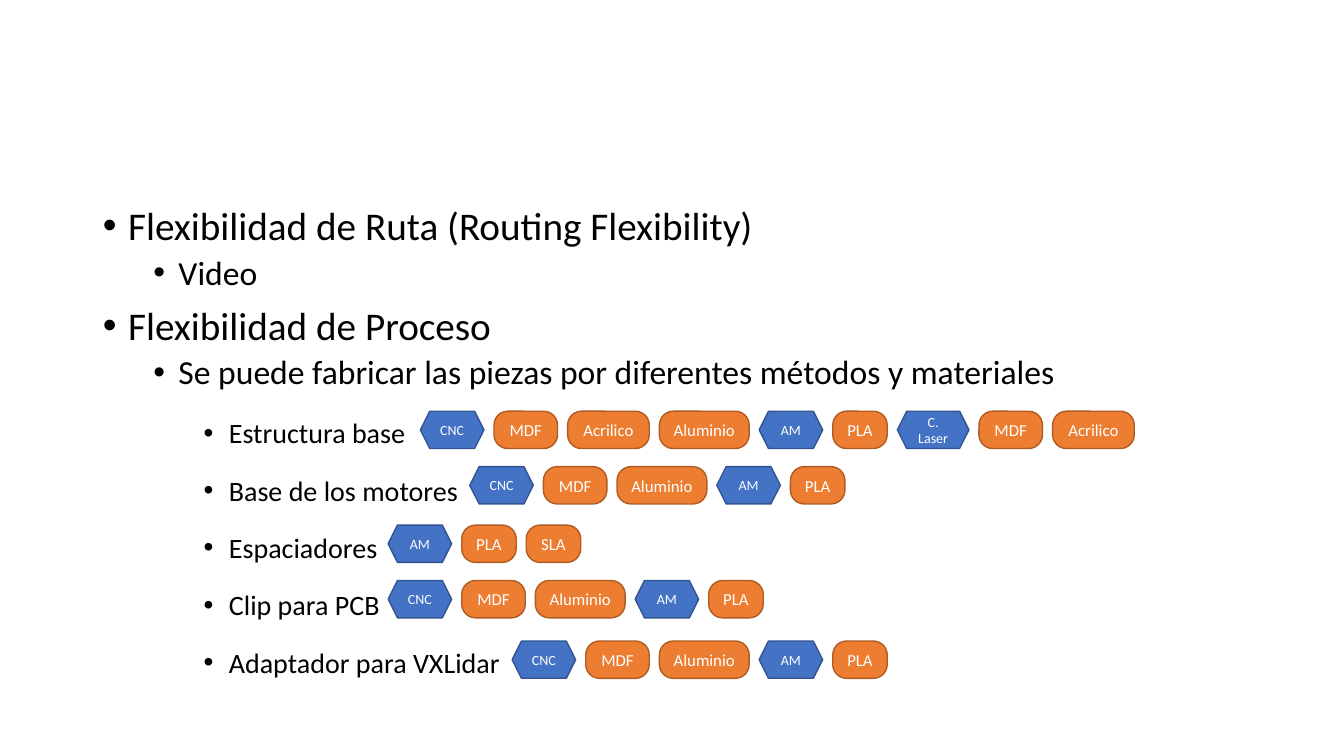
from dataclasses import dataclass

from lxml import etree
from pptx import Presentation
from pptx.dml.color import RGBColor
from pptx.enum.shapes import MSO_SHAPE
from pptx.enum.text import MSO_ANCHOR, MSO_AUTO_SIZE, PP_ALIGN
from pptx.oxml.ns import qn
from pptx.slide import Slide
from pptx.util import Inches, Pt

HEXAGON = MSO_SHAPE.HEXAGON
ROUNDED = MSO_SHAPE.ROUNDED_RECTANGLE
TOP = MSO_ANCHOR.TOP
MIDDLE = MSO_ANCHOR.MIDDLE
NO_FIT = MSO_AUTO_SIZE.NONE
LEFT = PP_ALIGN.LEFT
CENTER = PP_ALIGN.CENTER


@dataclass(frozen=True)
class Theme:
    font: str = "Calibri"
    text: str = "000000"
    label: str = "FFFFFF"
    method_fill: str = "4472C4"
    method_line: str = "325491"
    material_fill: str = "ED7D31"
    material_line: str = "AF5C24"
    method_size: int = 10
    material_size: int = 12
    bullet_sizes: tuple[int, ...] = (28, 24, 20)
    line_spacings: tuple[float, ...] = (0.9, 0.9, 1.5)
    spaces_before: tuple[int, ...] = (10, 5, 5)


@dataclass(frozen=True)
class Bullet:
    text: str
    level: int


@dataclass(frozen=True)
class Part:
    name: str
    left: float
    top: float
    options: tuple[str, ...]


THEME = Theme()
TAG_HEIGHT = 0.37
TAG_GAP = 0.1
METHOD_WIDTHS = {"CNC": 0.63, "AM": 0.63, "C. Laser": 0.71}
MATERIAL_WIDTHS = {"MDF": 0.63, "Acrilico": 0.81, "Aluminio": 0.89, "PLA": 0.54, "SLA": 0.54}
COMMON_OPTIONS = ("CNC", "MDF", "Aluminio", "AM", "PLA")
PARTS = (
    Part("Estructura base", 4.17, 4.08,
         ("CNC", "MDF", "Acrilico", "Aluminio", "AM", "PLA", "C. Laser", "MDF", "Acrilico")),
    Part("Base de los motores", 4.66, 4.63, COMMON_OPTIONS),
    Part("Espaciadores", 3.85, 5.21, ("AM", "PLA", "SLA")),
    Part("Clip para PCB", 3.85, 5.76, COMMON_OPTIONS),
    Part("Adaptador para VXLidar", 5.08, 6.36, COMMON_OPTIONS),
)
BULLETS = (
    Bullet("Flexibilidad de Ruta (Routing Flexibility)", 0),
    Bullet("Video", 1),
    Bullet("Flexibilidad de Proceso", 0),
    Bullet("Se puede fabricar las piezas por diferentes métodos y materiales", 1),
    *(Bullet(part.name, 2) for part in PARTS),
)


def add_run(paragraph, text: str, size: int, color: str) -> None:
    run = paragraph.add_run()
    run.text = text
    run.font.name = THEME.font
    run.font.size = Pt(size)
    run.font.color.rgb = RGBColor.from_string(color)


def fill_body(slide: Slide) -> None:
    body = slide.placeholders[1]
    body.left, body.top = Inches(0.92), Inches(2)
    body.width, body.height = Inches(11.5), Inches(4.76)
    frame = body.text_frame
    frame.word_wrap = True
    frame.auto_size = NO_FIT
    frame.vertical_anchor = TOP
    for index, bullet in enumerate(BULLETS):
        paragraph = frame.add_paragraph() if index else frame.paragraphs[0]
        paragraph.level = bullet.level
        paragraph.alignment = LEFT
        paragraph.line_spacing = THEME.line_spacings[bullet.level]
        paragraph.space_before = Pt(THEME.spaces_before[bullet.level] if index else 0)
        paragraph.space_after = Pt(0)
        properties = paragraph._p.get_or_add_pPr()
        properties.set("marL", str(Inches(0.25 + 0.5 * bullet.level)))
        properties.set("indent", str(Inches(-0.25)))
        etree.SubElement(properties, qn("a:buFont"), typeface="Arial")
        etree.SubElement(properties, qn("a:buChar"), char="•")
        add_run(paragraph, bullet.text, THEME.bullet_sizes[bullet.level], THEME.text)


def add_tag(slide: Slide, text: str, left: float, top: float) -> float:
    is_method = text in METHOD_WIDTHS
    width = METHOD_WIDTHS[text] if is_method else MATERIAL_WIDTHS[text]
    shape = slide.shapes.add_shape(
        HEXAGON if is_method else ROUNDED,
        Inches(left), Inches(top), Inches(width), Inches(TAG_HEIGHT))
    if not is_method:
        shape.adjustments[0] = 0.37
    shape.shadow.inherit = False
    shape.fill.solid()
    shape.fill.fore_color.rgb = RGBColor.from_string(
        THEME.method_fill if is_method else THEME.material_fill)
    shape.line.color.rgb = RGBColor.from_string(
        THEME.method_line if is_method else THEME.material_line)
    shape.line.width = Pt(1)
    frame = shape.text_frame
    frame.word_wrap = True
    frame.vertical_anchor = MIDDLE
    paragraph = frame.paragraphs[0]
    paragraph.alignment = CENTER
    add_run(paragraph, text, THEME.method_size if is_method else THEME.material_size, THEME.label)
    return width


def add_options(slide: Slide, part: Part) -> None:
    left = part.left
    for option in part.options:
        left += add_tag(slide, option, left, part.top) + TAG_GAP


def main() -> None:
    presentation = Presentation()
    presentation.slide_width = Inches(13.33)
    presentation.slide_height = Inches(7.5)
    slide = presentation.slides.add_slide(presentation.slide_layouts[1])
    title = slide.shapes.title.element
    title.getparent().remove(title)
    fill_body(slide)
    for part in PARTS:
        add_options(slide, part)
    presentation.save("out.pptx")


if __name__ == "__main__":
    main()
